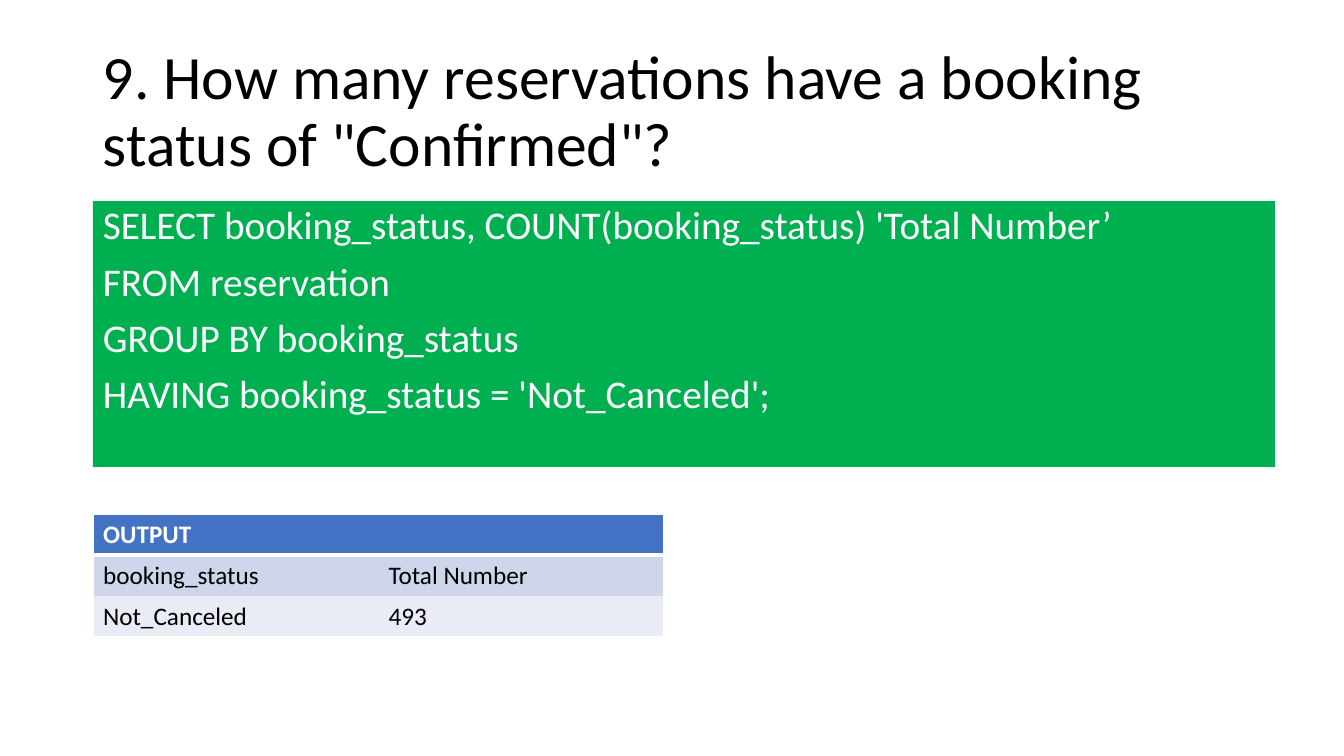
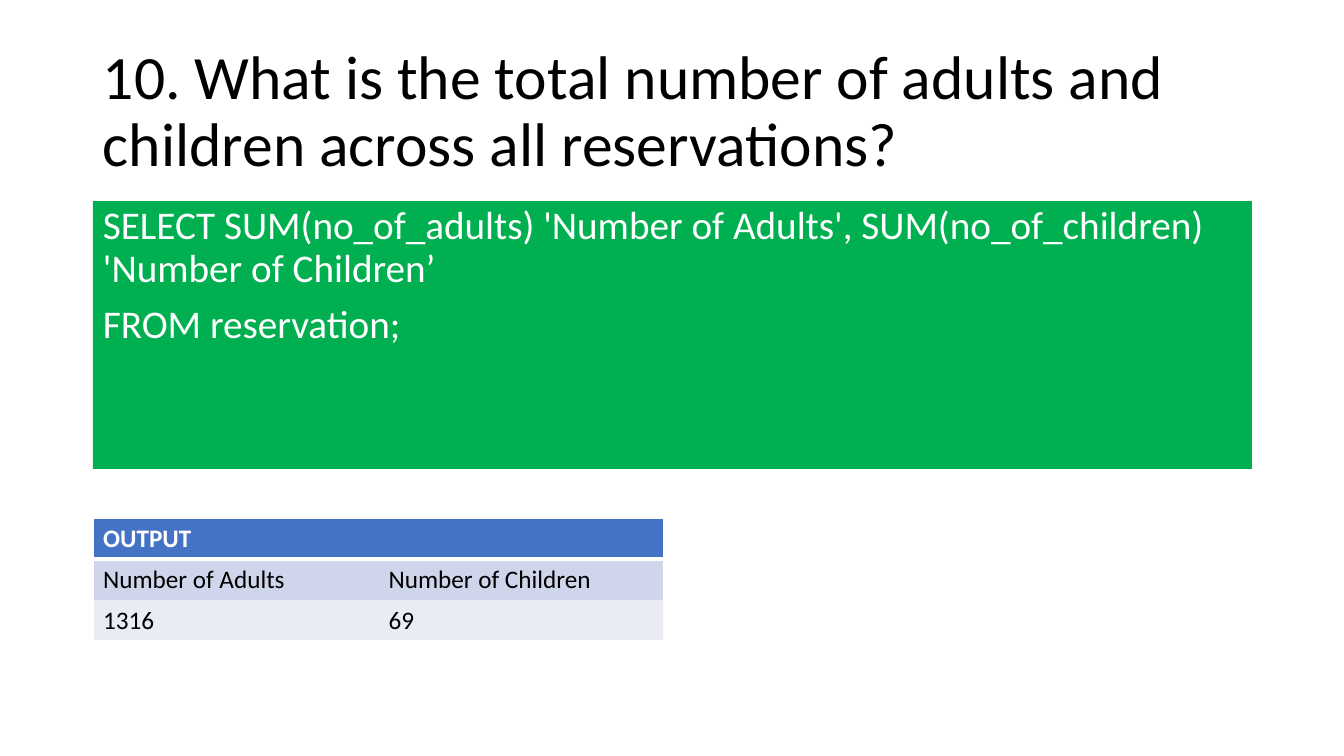
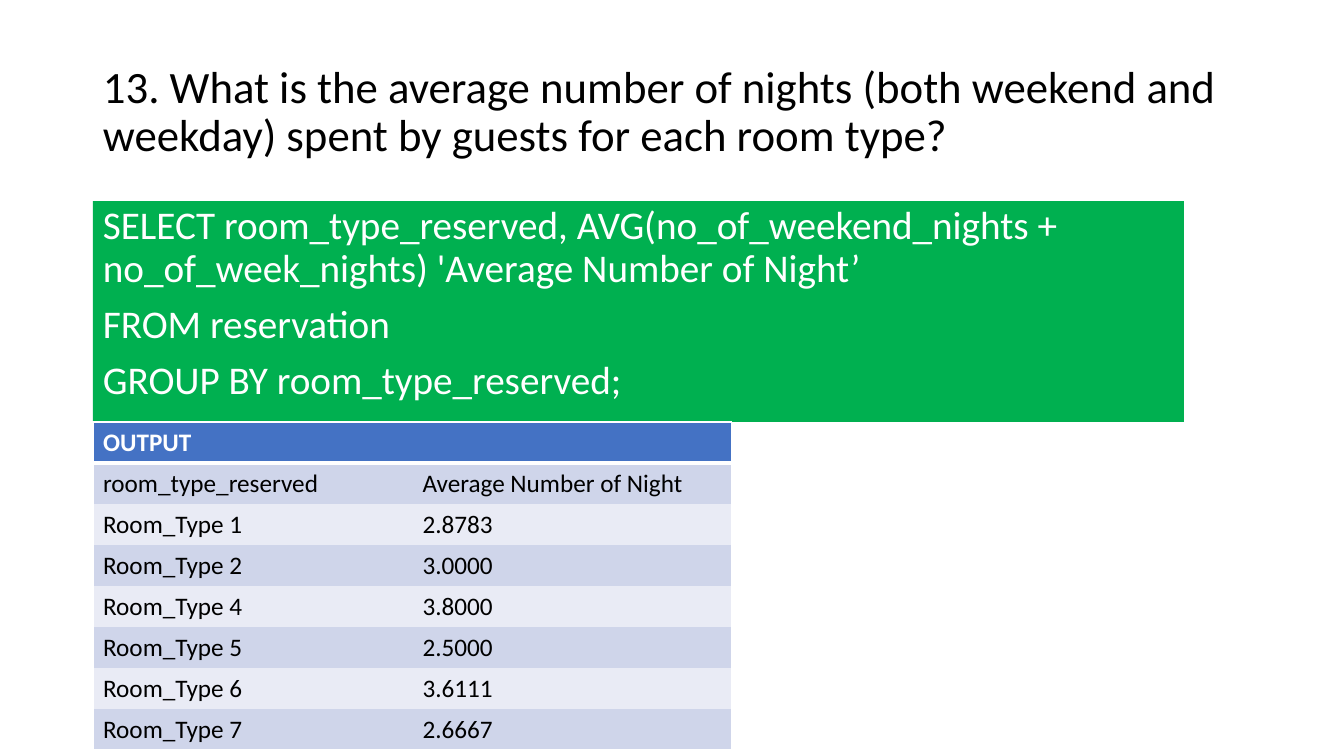
from lxml.etree import SubElement
from pptx import Presentation
from pptx.dml.color import RGBColor
from pptx.enum.shapes import MSO_SHAPE
from pptx.enum.text import MSO_ANCHOR, PP_ALIGN
from pptx.oxml.ns import qn
from pptx.util import Pt

SCALE = 914400 / 100.8  # EMU per px
COLORS = {
    "text": "000000",
    "white": "FFFFFF",
    "query": "00B050",
    "header": "4472C4",
    "band_dark": "CFD5EA",
    "band_light": "E9EBF5",
}


def px(n):
    return round(n * SCALE)


def rgb(name):
    return RGBColor.from_string(COLORS[name])


def write(tf, lines, size, color="text", bold=False, spacing=None, before=0):
    """Fill a text frame with one paragraph per line."""
    tf.word_wrap = True
    for i, line in enumerate(lines):
        p = tf.add_paragraph() if i else tf.paragraphs[0]
        p.alignment = PP_ALIGN.LEFT
        p.line_spacing = spacing
        p.space_before = Pt(before)
        r = p.add_run()
        r.text = line
        r.font.name = "Calibri"
        r.font.size = Pt(size)
        r.font.bold = bold
        r.font.color.rgb = rgb(color)


def set_border(cell, side, width):
    """Draw a white cell edge, or none when width is 0."""
    ln = SubElement(cell._tc.get_or_add_tcPr(), qn(f"a:ln{side}"), w=str(Pt(width)))
    if width:
        fill = SubElement(ln, qn("a:solidFill"))
        SubElement(fill, qn("a:srgbClr"), val=COLORS["white"])
    else:
        SubElement(ln, qn("a:noFill"))


class Deck:
    LEFT = 93
    TITLE_TOP, TITLE_W, TITLE_H = 40, 1159, 146
    QUERY_TOP = 201
    ROW_H = 41

    def __init__(self):
        self.prs = Presentation()
        self.prs.slide_width, self.prs.slide_height = px(1344), px(756)
        self.s = None

    def slide(self):
        self.s = self.prs.slides.add_slide(self.prs.slide_layouts[6])

    def title(self, text, size=44):
        box = self.s.shapes.add_textbox(
            px(self.LEFT), px(self.TITLE_TOP), px(self.TITLE_W), px(self.TITLE_H))
        box.text_frame.vertical_anchor = MSO_ANCHOR.MIDDLE
        write(box.text_frame, [text], size, spacing=0.9)

    def query(self, lines, width, height):
        sp = self.s.shapes.add_shape(
            MSO_SHAPE.RECTANGLE, px(self.LEFT), px(self.QUERY_TOP), px(width), px(height))
        sp.shadow.inherit = False
        sp.fill.solid()
        sp.fill.fore_color.rgb = rgb("query")
        sp.line.fill.background()
        sp.text_frame.vertical_anchor = MSO_ANCHOR.TOP
        write(sp.text_frame, lines, 28, color="white", spacing=0.9, before=10)

    def output(self, top, width, records):
        rows = [("OUTPUT", ""), *records]
        n_rows, n_cols = len(rows), len(rows[0])
        table = self.s.shapes.add_table(
            n_rows, n_cols, px(self.LEFT), px(top), px(width), px(self.ROW_H * n_rows)).table
        for i, row in enumerate(rows):
            table.rows[i].height = px(self.ROW_H)
            for j, text in enumerate(row):
                cell = table.cell(i, j)
                # Outer edges are thin, the rule under the header is thick
                set_border(cell, "L", 1 if j == 0 else 0)
                set_border(cell, "R", 1 if j == n_cols - 1 else 0)
                set_border(cell, "T", {0: 1, 1: 3}.get(i, 0))
                set_border(cell, "B", 3 if i == 0 else 1 if i == n_rows - 1 else 0)
                band = "band_dark" if i % 2 else "band_light"
                cell.fill.solid()
                cell.fill.fore_color.rgb = rgb(band if i else "header")
                if text:
                    write(cell.text_frame, [text], 18,
                          color="text" if i else "white", bold=i == 0)


def main():
    deck = Deck()

    # Confirmed reservations
    deck.slide()
    deck.title('9. How many reservations have a booking status of "Confirmed"?')
    deck.query([
        "SELECT booking_status, COUNT(booking_status) 'Total Number’",
        "FROM reservation",
        "GROUP BY booking_status",
        "HAVING booking_status = 'Not_Canceled';",
    ], width=1182, height=266)
    deck.output(514, 571, [("booking_status", "Total Number"), ("Not_Canceled", "493")])

    # Adults and children
    deck.slide()
    deck.title("10. What is the total number of adults and children across all reservations?")
    deck.query([
        "SELECT SUM(no_of_adults) 'Number of Adults', SUM(no_of_children) 'Number of Children’",
        "FROM reservation;",
    ], width=1159, height=268)
    deck.output(518, 571, [("Number of Adults", "Number of Children"), ("1316", "69")])

    # Average nights by room type
    deck.slide()
    deck.title("13. What is the average number of nights (both weekend and weekday) "
               "spent by guests for each room type?", size=32)
    deck.query([
        "SELECT room_type_reserved, AVG(no_of_weekend_nights + no_of_week_nights) "
        "'Average Number of Night’",
        "FROM reservation",
        "GROUP BY room_type_reserved;",
    ], width=1091, height=221)
    deck.output(422, 639, [
        ("room_type_reserved", "Average Number of Night"),
        ("Room_Type 1", "2.8783"),
        ("Room_Type 2", "3.0000"),
        ("Room_Type 4", "3.8000"),
        ("Room_Type 5", "2.5000"),
        ("Room_Type 6", "3.6111"),
        ("Room_Type 7", "2.6667"),
    ])

    deck.prs.save("out.pptx")


if __name__ == "__main__":
    main()
